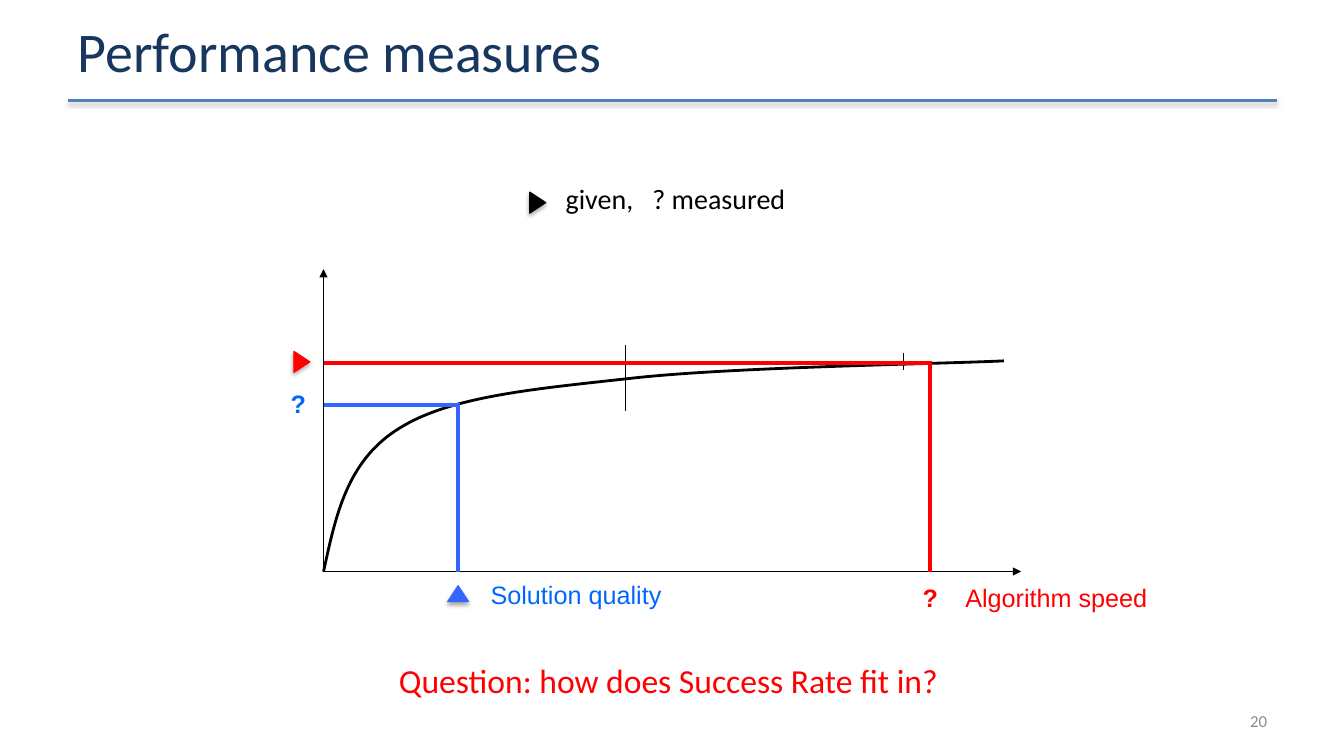
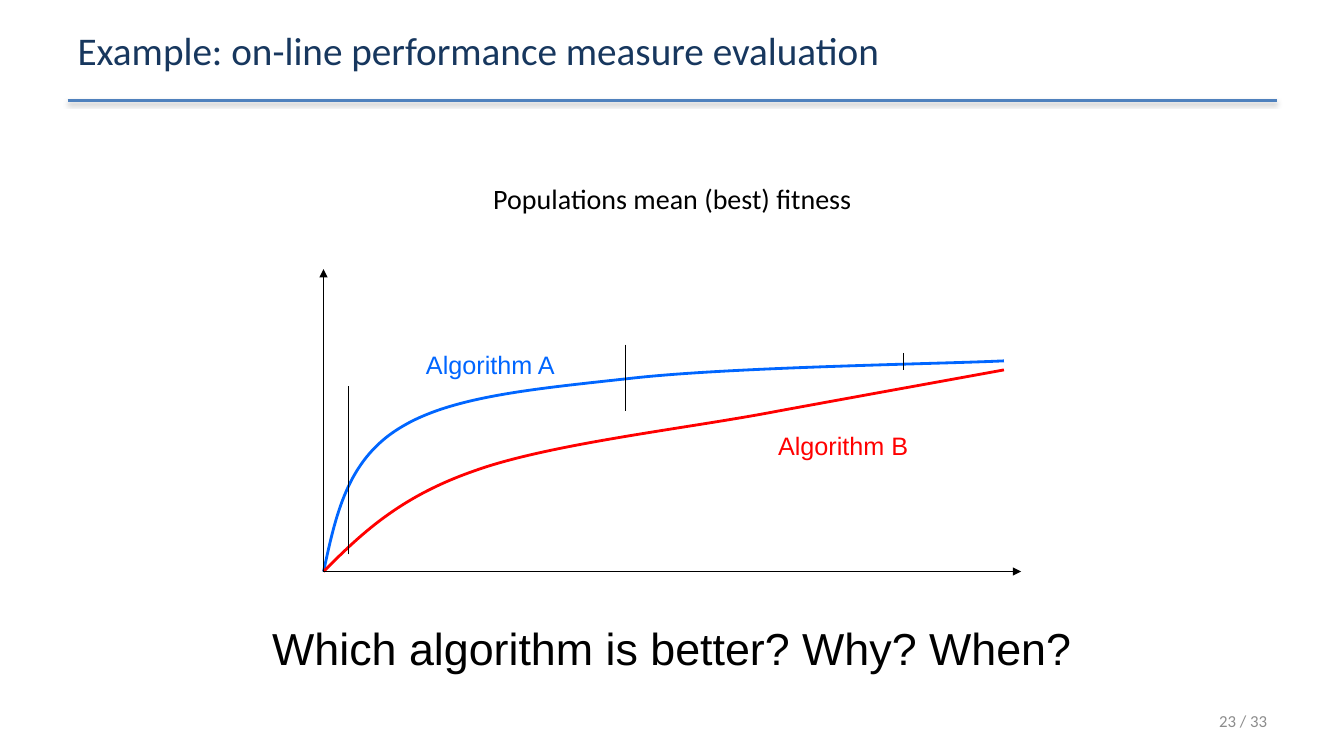
import lxml.etree
import pptx
import pptx.dml.color
import pptx.enum.shapes
import pptx.enum.text
import pptx.oxml
import pptx.oxml.ns
import pptx.util

Inches = pptx.util.Inches
Pt = pptx.util.Pt
RGBColor = pptx.dml.color.RGBColor
Align = pptx.enum.text.PP_ALIGN
Anchor = pptx.enum.text.MSO_ANCHOR
qn = pptx.oxml.ns.qn

BLACK = RGBColor(0x00, 0x00, 0x00)
NAVY = RGBColor(0x17, 0x37, 0x5E)
STEEL = RGBColor(0x4F, 0x81, 0xBD)
RED = RGBColor(0xFF, 0x00, 0x00)
BLUE = RGBColor(0x00, 0x66, 0xFF)
MARKER_BLUE = RGBColor(0x33, 0x66, 0xFF)
GRAY = RGBColor(0x8C, 0x8C, 0x8C)

ORIGIN_X, ORIGIN_Y = 3.21, 5.67
SHADOW = (
    '<a:effectLst xmlns:a="http://schemas.openxmlformats.org/drawingml/2006/main">'
    '<a:outerShdw blurRad="40000" dist="{}" dir="5400000" rotWithShape="0">'
    '<a:srgbClr val="000000"><a:alpha val="{}"/></a:srgbClr>'
    '</a:outerShdw></a:effectLst>'
)


def add_line(slide, start, end, color=BLACK, width=0.75, arrow=False):
    line = slide.shapes.add_connector(
        pptx.enum.shapes.MSO_CONNECTOR.STRAIGHT,
        *[Inches(value) for value in (*start, *end)])
    line.line.color.rgb = color
    line.line.width = Pt(width)
    properties = line.element.spPr
    if arrow:
        outline = properties.find(qn("a:ln"))
        lxml.etree.SubElement(outline, qn("a:tailEnd"), type="triangle")
    lxml.etree.SubElement(properties, qn("a:effectLst"))
    return line


def add_label(slide, box, text, size, color, font="Arial", bold=False,
              align=Align.CENTER, anchor=Anchor.TOP):
    label = slide.shapes.add_textbox(*[Inches(value) for value in box])
    frame = label.text_frame
    frame.word_wrap = False
    frame.vertical_anchor = anchor
    paragraph = frame.paragraphs[0]
    paragraph.alignment = align
    run = paragraph.add_run()
    run.text = text
    run.font.name = font
    run.font.size = Pt(size)
    run.font.bold = bold
    run.font.color.rgb = color


presentation = pptx.Presentation()
presentation.slide_width = Inches(40 / 3)
presentation.slide_height = Inches(7.5)
layout = presentation.slide_layouts[1]

title_area, body_area = layout.placeholders[0], layout.placeholders[1]
for area, top, height in [(title_area, 0.02, 0.95), (body_area, 1.75, 4.95)]:
    area.left, area.top = Inches(0.67), Inches(top)
    area.width, area.height = Inches(12), Inches(height)
title_area.text_frame.margin_top = title_area.text_frame.margin_bottom = 0
title_area.text_frame.vertical_anchor = Anchor.MIDDLE

fast_curve = [(ORIGIN_X, ORIGIN_Y),
              (3.33, 5.12), (3.44, 4.57), (3.96, 4.25),
              (4.47, 3.93), (5.29, 3.86), (6.29, 3.75),
              (7.29, 3.64), (9.35, 3.61), (9.96, 3.58)]
slow_curve = [(ORIGIN_X, ORIGIN_Y),
              (3.58, 5.3), (3.96, 4.93), (4.71, 4.67),
              (5.46, 4.4), (6.83, 4.25), (7.71, 4.08),
              (8.58, 3.92), (9.58, 3.74), (9.96, 3.67)]

contents = [
    ("Performance measures", 40, [" given,", " ", "? measured"], "20",
     [(fast_curve, BLACK)]),
    ("Example: on-line performance measure evaluation", 28,
     ["Populations mean (best) fitness"], "23 / 33",
     [(fast_curve, BLUE), (slow_curve, RED)]),
]

slides = []
for title, title_size, caption, number, curves in contents:
    slide = presentation.slides.add_slide(layout)
    slides.append(slide)

    paragraph = slide.shapes.title.text_frame.paragraphs[0]
    paragraph.alignment = Align.LEFT
    run = paragraph.add_run()
    run.text = title
    run.font.name = "Calibri"
    run.font.size = Pt(title_size)
    run.font.color.rgb = NAVY

    paragraph = slide.placeholders[1].text_frame.paragraphs[0]
    paragraph.alignment = Align.CENTER
    paragraph_properties = paragraph._p.get_or_add_pPr()
    paragraph_properties.set("marL", str(Inches(0.38)))
    paragraph_properties.set("indent", str(Inches(-0.38)))
    lxml.etree.SubElement(paragraph_properties, qn("a:buNone"))
    for text in caption:
        run = paragraph.add_run()
        run.text = text
        run.font.name = "Calibri"
        run.font.size = Pt(20)
        run.font.color.rgb = BLACK
        if text == " ":
            run._r.get_or_add_rPr().set("spc", "900")

    add_label(slide, (9.56, 6.95, 3.11, 0.4), number, 12, GRAY, "Calibri",
              align=Align.RIGHT, anchor=Anchor.MIDDLE)

    for points, color in curves:
        start, *controls = [(Inches(x), Inches(y)) for x, y in points]
        builder = slide.shapes.build_freeform(*start)
        builder.add_line_segments(controls, close=False)
        curve = builder.convert_to_shape()
        segments = list(curve.element.iter(qn("a:lnTo")))
        for first in range(0, len(segments), 3):
            bezier = lxml.etree.Element(qn("a:cubicBezTo"))
            segments[first].addprevious(bezier)
            for segment in segments[first:first + 3]:
                bezier.append(segment[0])
                segment.getparent().remove(segment)
        curve.shadow.inherit = False
        curve.fill.background()
        curve.line.color.rgb = color
        curve.line.width = Pt(2)

    for end in [(10.13, ORIGIN_Y), (ORIGIN_X, 2.67)]:
        add_line(slide, (ORIGIN_X, ORIGIN_Y), end, arrow=True)
    for x, top, bottom in [(6.21, 3.42, 4.08), (8.96, 3.5, 3.67)]:
        add_line(slide, (x, top), (x, bottom))

measures, example = slides

title_rule = add_line(measures, (0.67, 1), (12.67, 1), STEEL, 2)
rule_properties = title_rule.element.spPr
rule_properties.remove(rule_properties.find(qn("a:effectLst")))
rule_properties.append(pptx.oxml.parse_xml(SHADOW.format(20000, 38000)))
layout.shapes.element.append(title_rule.element)

for start, end, color in [
    ((4.54, ORIGIN_Y), (4.54, 4), MARKER_BLUE),
    ((ORIGIN_X, 4.02), (4.54, 4.02), MARKER_BLUE),
    ((ORIGIN_X, 3.6), (9.23, 3.6), RED),
    ((9.23, ORIGIN_Y), (9.23, 3.58), RED),
]:
    add_line(measures, start, end, color, 3)

for left, top, rotation, color in [
    (4.44, 5.81, 0, MARKER_BLUE),
    (2.89, 3.51, 90, RED),
    (5.23, 1.93, 90, BLACK),
]:
    marker = measures.shapes.add_shape(
        pptx.enum.shapes.MSO_SHAPE.ISOSCELES_TRIANGLE,
        Inches(left), Inches(top), Inches(0.21), Inches(0.16))
    marker.rotation = rotation
    marker.fill.solid()
    marker.fill.fore_color.rgb = color
    marker.line.color.rgb = color
    marker.line.width = Pt(0.75)
    marker.element.spPr.append(pptx.oxml.parse_xml(SHADOW.format(23000, 35000)))

add_label(measures, (9.46, 5.73, 2.04, 0.4), "Algorithm speed", 18, RED)
add_label(measures, (4.76, 5.7, 1.91, 0.4), "Solution quality", 18, BLUE)
add_label(measures, (2.78, 3.8, 0.36, 0.4), "?", 18, BLUE, bold=True)
add_label(measures, (9.05, 5.73, 0.36, 0.4), "?", 18, RED, bold=True)
add_label(measures, (3.86, 6.5, 5.61, 0.5),
          "Question: how does Success Rate fit in?", 24, RED, "Calibri",
          align=Align.LEFT)

add_line(example, (3.46, 5.5), (3.46, 3.83))
add_label(example, (7.62, 4.22, 1.49, 0.4), "Algorithm B", 18, RED)
add_label(example, (4.12, 3.42, 1.49, 0.4), "Algorithm A", 18, BLUE)
add_label(example, (2.57, 6.11, 8.2, 0.64),
          "Which algorithm is better? Why? When?", 32, BLACK)

presentation.save("out.pptx")
